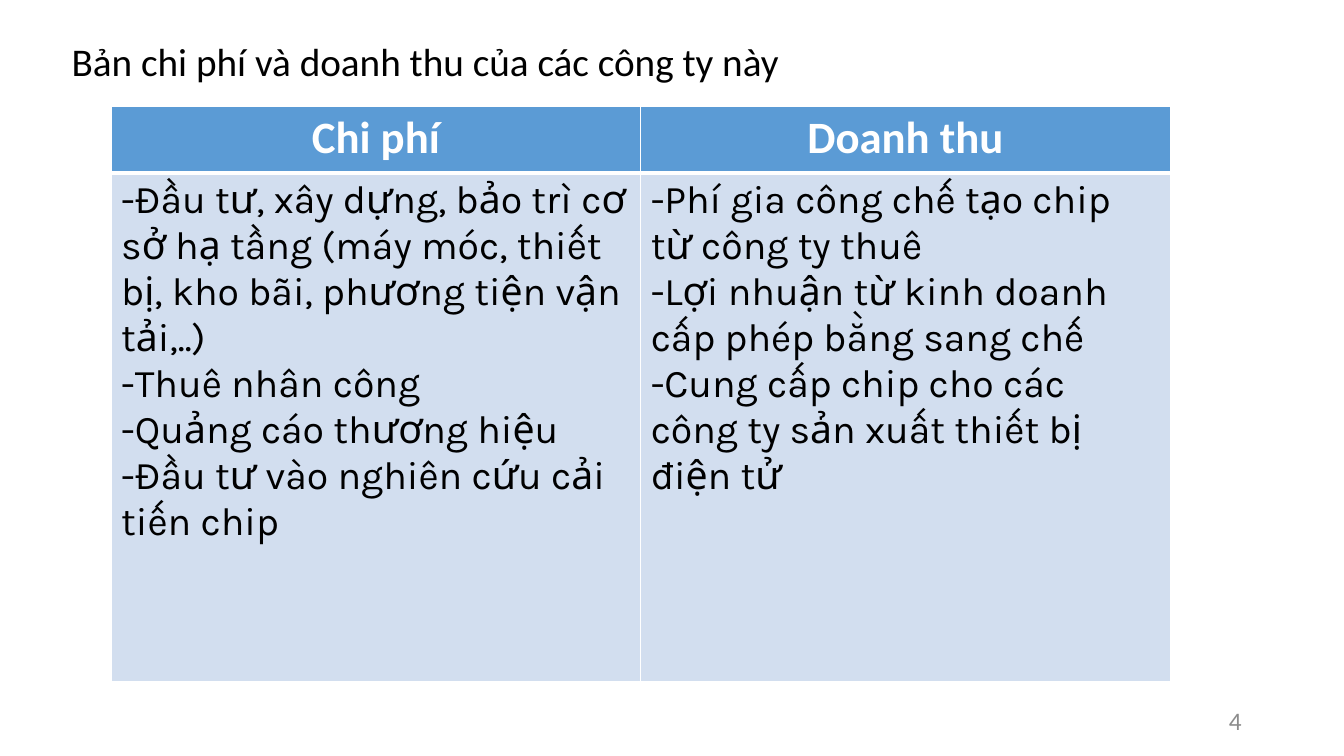
from lxml import etree
from pptx import Presentation
from pptx.dml.color import RGBColor
from pptx.enum import text
from pptx.oxml import ns
from pptx.util import Pt

BLACK = RGBColor(0x00, 0x00, 0x00)
WHITE = RGBColor(0xFF, 0xFF, 0xFF)
GREY = RGBColor(0x8C, 0x8C, 0x8C)
BLUE = RGBColor(0x5B, 0x9B, 0xD5)
PALE_BLUE = RGBColor(0xD2, 0xDE, 0xEF)

HEADING = "Bản chi phí và doanh thu của các công ty này"
COLUMNS = [
    ("Chi phí", [
        "-Đầu tư, xây dựng, bảo trì cơ sở hạ tầng (máy móc, thiết bị, kho bãi, "
        "phương tiện vận tải,..)",
        "-Thuê nhân công",
        "-Quảng cáo thương hiệu",
        "-Đầu tư vào nghiên cứu cải tiến chip",
    ]),
    ("Doanh thu", [
        "-Phí gia công chế tạo chip từ công ty thuê",
        "-Lợi nhuận từ kinh doanh cấp phép bằng sang chế",
        "-Cung cấp chip cho các công ty sản xuất thiết bị điện tử",
    ]),
]


def write(tf, lines, size, color, font="Calibri", bold=False, align=None):
    """Fill a text frame with one formatted paragraph per line."""
    for i, line in enumerate(lines):
        p = tf.add_paragraph() if i else tf.paragraphs[0]
        p.alignment = align
        r = p.add_run()
        r.text = line
        r.font.name, r.font.size, r.font.bold = font, Pt(size), bold
        r.font.color.rgb = color


def add_border(cell, side, width):
    """Draw a white border on one side of a cell, before its fill."""
    pr = cell._tc.get_or_add_tcPr()
    ln = etree.SubElement(pr, ns.qn(f"a:ln{side}"), w=str(Pt(width)))
    fill = etree.SubElement(ln, ns.qn("a:solidFill"))
    etree.SubElement(fill, ns.qn("a:srgbClr"), val=str(WHITE))


def place(sp, box):
    """Move and size a shape to a box in points."""
    sp.left, sp.top, sp.width, sp.height = map(Pt, box)


def add_heading(s, box):
    """Place the heading in the body placeholder without a bullet."""
    sp = s.placeholders[1]
    place(sp, box)
    tf = sp.text_frame
    tf.vertical_anchor = text.MSO_ANCHOR.TOP
    write(tf, [HEADING], 28, BLACK, align=text.PP_ALIGN.LEFT)
    p = tf.paragraphs[0]
    p.line_spacing, p.space_before = 0.9, Pt(10)
    pr = p._p.get_or_add_pPr()
    pr.set("marL", "0")
    pr.set("indent", "0")
    etree.SubElement(pr, ns.qn("a:buNone"))


def add_comparison(s, box, header_height):
    """Add the table of costs and revenues."""
    left, top, width, height = box
    table = s.shapes.add_table(2, len(COLUMNS), *map(Pt, box)).table
    table.rows[0].height = Pt(header_height)
    table.rows[1].height = Pt(height - header_height)
    for c, (header, items) in enumerate(COLUMNS):
        table.columns[c].width = Pt(width / len(COLUMNS))
        head, body = table.cell(0, c), table.cell(1, c)
        write(head.text_frame, [header], 32, WHITE, bold=True,
              align=text.PP_ALIGN.CENTER)
        write(body.text_frame, items, 28, BLACK, font="Karla")
        for cell, color, edges in ((head, BLUE, (1, 1, 1, 3)),
                                   (body, PALE_BLUE, (1, 1, 3, 1))):
            for side, edge in zip("LRTB", edges):
                add_border(cell, side, edge)
            cell.fill.solid()
            cell.fill.fore_color.rgb = color


def add_page_number(s, box):
    """Add the page number at the right of its box."""
    tf = s.shapes.add_textbox(*map(Pt, box)).text_frame
    tf.word_wrap = True
    tf.vertical_anchor = text.MSO_ANCHOR.MIDDLE
    write(tf, ["4"], 18, GREY, align=text.PP_ALIGN.RIGHT)


def main():
    """Build and save the slide."""
    prs = Presentation()
    prs.slide_width, prs.slide_height = Pt(960), Pt(540)
    s = prs.slides.add_slide(prs.slide_layouts[1])
    title = s.shapes.title._element
    title.getparent().remove(title)
    add_heading(s, (44, 26.6, 828, 429))
    add_page_number(s, (678, 500.5, 216, 28.8))
    add_comparison(s, (79.4, 75.9, 756.6, 411), 47.6)
    prs.save("out.pptx")


if __name__ == "__main__":
    main()
